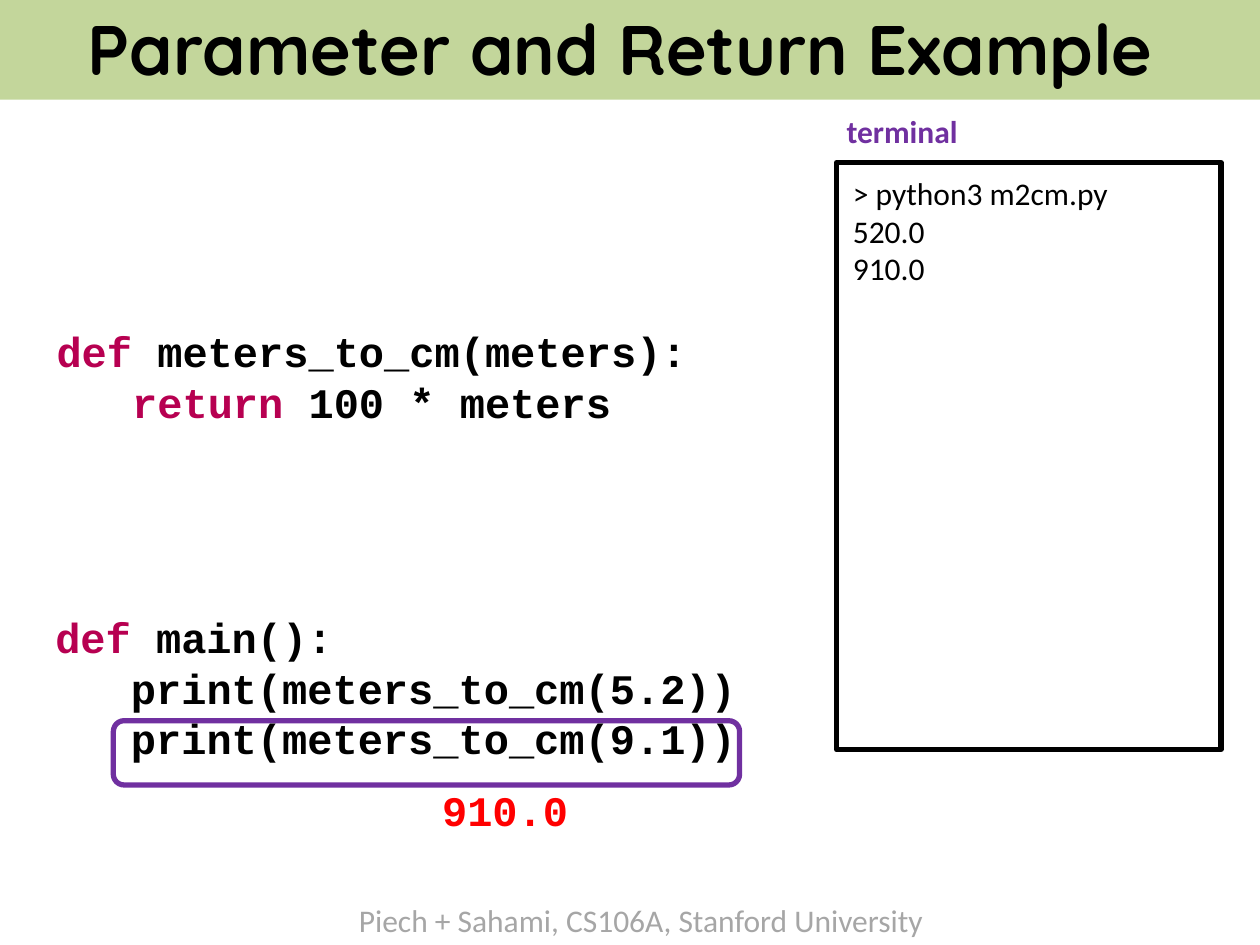
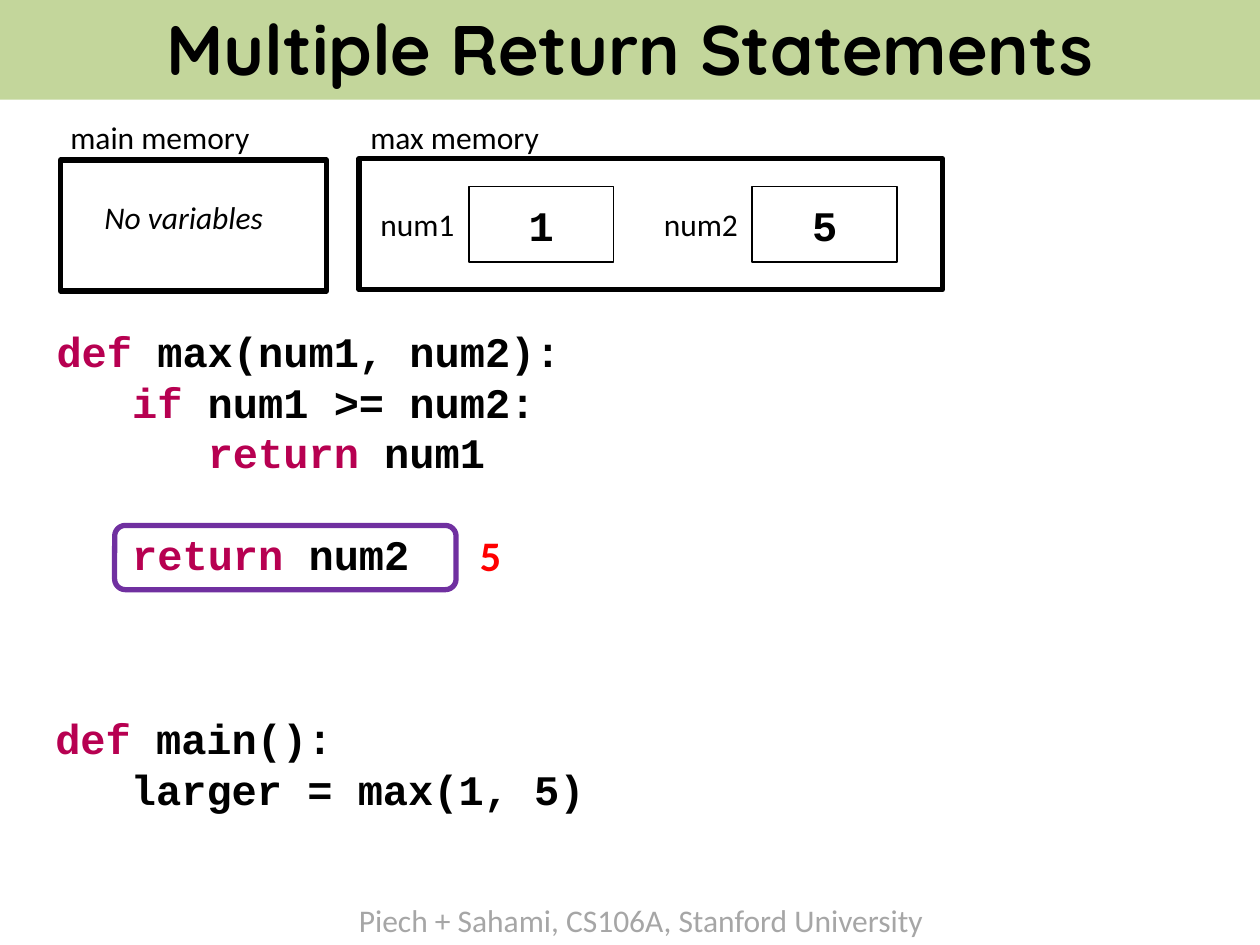
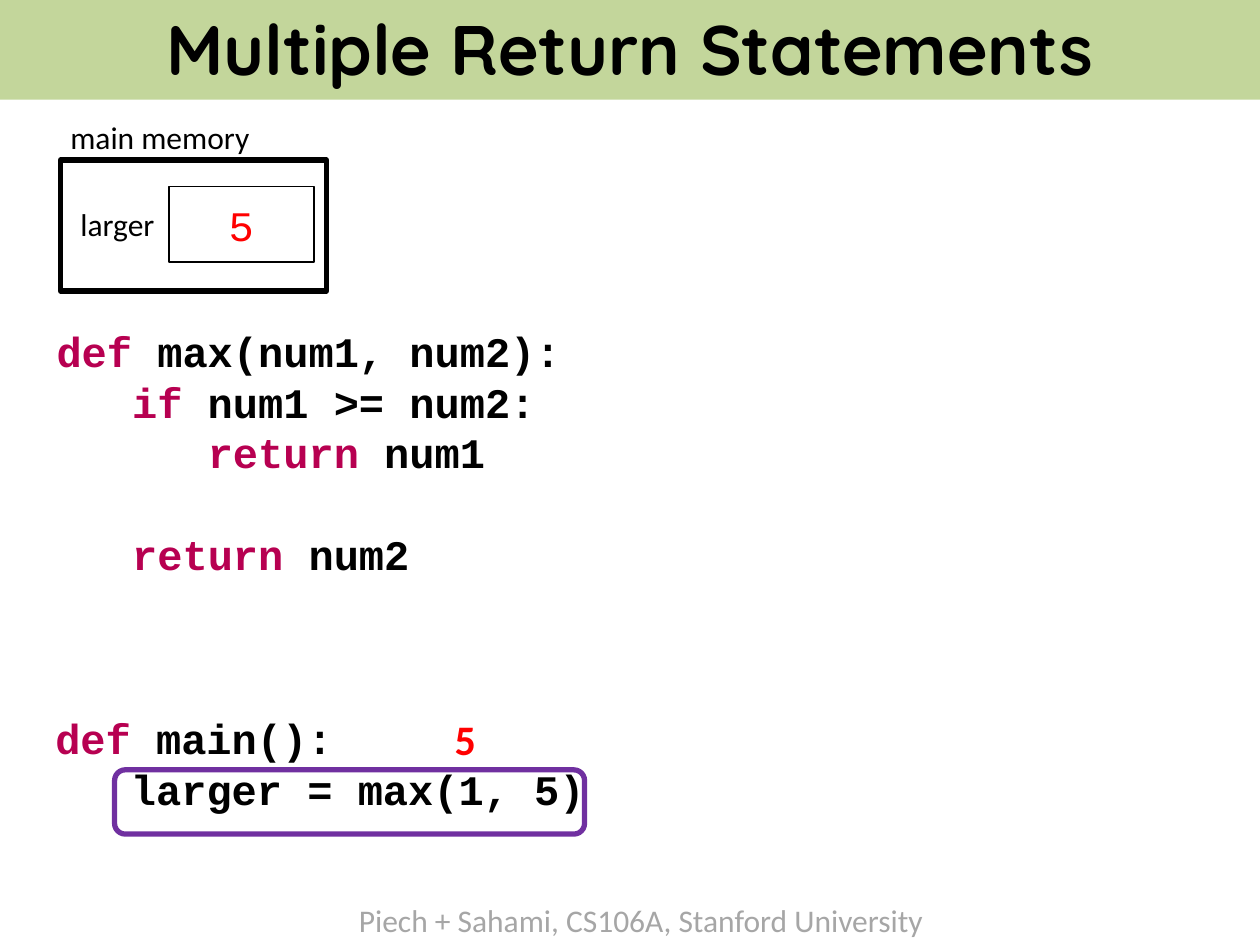
from dataclasses import dataclass

from pptx import Presentation
from pptx.dml.color import RGBColor
from pptx.enum.shapes import MSO_SHAPE
from pptx.enum.text import MSO_ANCHOR, MSO_AUTO_SIZE, PP_ALIGN
from pptx.util import Inches, Pt

RECTANGLE = MSO_SHAPE.RECTANGLE
ROUNDED = MSO_SHAPE.ROUNDED_RECTANGLE
MIDDLE = MSO_ANCHOR.MIDDLE
CENTER = PP_ALIGN.CENTER
FIT_SHAPE = MSO_AUTO_SIZE.SHAPE_TO_FIT_TEXT


@dataclass(frozen=True)
class Theme:
    band: str = "C3D69B"
    ink: str = "000000"
    keyword: str = "B70051"
    accent: str = "7030A0"
    result: str = "FF0000"
    footer: str = "A6A6A6"
    title_font: str = "Quicksand"
    label_font: str = "Calibri"
    code_font: str = "Courier New"
    title_size: int = 40
    code_size: int = 24
    label_size: int = 18
    code_pitch: int = 29
    thick: int = 3
    thin: int = 1


THEME = Theme()

# Content: each code line is (keyword part, remainder, blank lines above)
FOOTER = "Piech + Sahami, CS106A, Stanford University"
MAX_CODE = [
    ("def ", "max(num1, num2):", 0),
    ("   if", " num1 >= num2:", 0),
    ("      return ", "num1", 0),
    ("   return ", "num2", 1),
]
MAX_MAIN = [("def ", "main():", 0), ("", "   larger = max(1, 5)", 0)]
MAIN_MEMORY = ("main memory", (0.46, 0.89, 1.64, 0.4), (0.48, 1.27, 2.11, 1.04))
MAX_MEMORY = ("max memory", (2.84, 0.89, 1.55, 0.4), (2.85, 1.26, 4.63, 1.04))

# Labels are (text, place, style); variables are (name, value, left, style)
SLIDES = [
    {
        "title": "Parameter and Return Example ",
        "function": [
            ("def ", "meters_to_cm(meters):", 0),
            ("   return ", "100 * meters", 0),
        ],
        "main": [
            ("def ", "main():", 0),
            ("", "   print(meters_to_cm(5.2))", 0),
            ("", "   print(meters_to_cm(9.1))", 0),
        ],
        "main_top": 4.82,
        "frames": [
            ("terminal", (6.62, 0.84, 1.09, 0.4), (6.64, 1.29, 3.05, 4.66),
             {"color": THEME.accent, "bold": True}),
        ],
        "labels": [
            ("> python3 m2cm.py\n520.0\n910.0", (6.67, 1.33, 2.25, 1.01), {}),
            ("910.0", (3.41, 6.18, 1.21, 0.5),
             {"font": THEME.code_font, "size": THEME.code_size,
              "color": THEME.result, "bold": True}),
        ],
        "variables": [],
        "highlight": (0.9, 5.72, 4.97, 0.51),
    },
    {
        "title": "Multiple Return Statements",
        "function": MAX_CODE,
        "main": MAX_MAIN,
        "main_top": 5.62,
        "frames": [(*MAIN_MEMORY, {}), (*MAX_MEMORY, {})],
        "labels": [
            ("No variables", (0.73, 1.52, 1.53, 0.4), {"italic": True}),
            ("5", (3.71, 4.15, 0.37, 0.5),
             {"size": THEME.code_size, "color": THEME.result, "bold": True}),
        ],
        "variables": [
            ("num1", "1", 2.92, {"bold": True}),
            ("num2", "5", 5.17, {"bold": True}),
        ],
        "highlight": (0.91, 4.17, 2.71, 0.51),
    },
    {
        "title": "Multiple Return Statements",
        "function": MAX_CODE,
        "main": MAX_MAIN,
        "main_top": 5.62,
        "frames": [(*MAIN_MEMORY, {})],
        "labels": [
            ("5", (3.51, 5.61, 0.37, 0.5),
             {"size": THEME.code_size, "color": THEME.result, "bold": True}),
        ],
        "variables": [("larger", "5", 0.54, {"color": THEME.result})],
        "highlight": (0.91, 6.11, 3.73, 0.51),
    },
]


def style(font, name, size, color=THEME.ink, bold=False, italic=False):
    font.name = name
    font.size = Pt(size)
    font.color.rgb = RGBColor.from_string(color)
    font.bold = bold
    font.italic = italic


def add_box(page, place, kind=RECTANGLE, fill=None, line=None, width=THEME.thick):
    box = page.shapes.add_shape(kind, *map(Inches, place))
    box.shadow.inherit = False
    if fill:
        box.fill.solid()
        box.fill.fore_color.rgb = RGBColor.from_string(fill)
    else:
        box.fill.background()
    if line:
        box.line.color.rgb = RGBColor.from_string(line)
        box.line.width = Pt(width)
    else:
        box.line.fill.background()
    return box


def add_centered_text(box, text, font, size, **look):
    frame = box.text_frame
    frame.text = text
    frame.vertical_anchor = MIDDLE
    para = frame.paragraphs[0]
    para.alignment = CENTER
    style(para.runs[0].font, font, size, **look)


def add_label(page, text, place, font=THEME.label_font, size=THEME.label_size, **look):
    frame = page.shapes.add_textbox(*map(Inches, place)).text_frame
    frame.text = text
    frame.word_wrap = False
    frame.auto_size = FIT_SHAPE
    for para in frame.paragraphs:
        style(para.runs[0].font, font, size, **look)


def add_code(page, lines, place, inset):
    frame = page.shapes.add_textbox(*map(Inches, place)).text_frame
    frame.word_wrap = True
    frame.margin_top = Inches(inset)
    for index, (keyword, rest, gap) in enumerate(lines):
        para = frame.add_paragraph() if index else frame.paragraphs[0]
        para.line_spacing = Pt(THEME.code_pitch)
        if gap:
            para.space_before = Pt(gap * THEME.code_pitch)
        for text, color in ((keyword, THEME.keyword), (rest, THEME.ink)):
            if text:
                span = para.add_run()
                span.text = text
                style(span.font, THEME.code_font, THEME.code_size, color, bold=True)


def add_variable(page, name, value, left, look):
    add_label(page, name, (left, 1.58, 0.8, 0.4))
    cell = add_box(page, (left + 0.8, 1.48, 1.15, 0.6), line=THEME.ink, width=THEME.thin)
    add_centered_text(cell, value, THEME.code_font, THEME.code_size, **look)


def build_slide(deck, content):
    page = deck.slides.add_slide(deck.slide_layouts[6])

    # Shared footer and title band
    add_label(page, FOOTER, (2.75, 7.1, 4.73, 0.4), color=THEME.footer)
    band = add_box(page, (0, -0.03, 10, 0.82), fill=THEME.band)
    add_centered_text(band, content["title"], THEME.title_font, THEME.title_size, bold=True)

    # Terminal and memory frames with what they hold
    for caption, caption_place, frame_place, look in content["frames"]:
        add_box(page, frame_place, line=THEME.ink)
        add_label(page, caption, caption_place, **look)
    for variable in content["variables"]:
        add_variable(page, *variable)

    # Line being run, with the code of the function and of main above it
    add_box(page, content["highlight"], ROUNDED, line=THEME.accent)
    add_code(page, content["function"], (0.35, 1.34, 9.32, 5.52), inset=1.24)
    add_code(page, content["main"], (0.34, content["main_top"], 9.32, 1.28), inset=0.03)

    # Results and notes
    for text, place, look in content["labels"]:
        add_label(page, text, place, **look)


def main():
    deck = Presentation()
    deck.slide_width = Inches(10)
    deck.slide_height = Inches(7.5)
    for content in SLIDES:
        build_slide(deck, content)
    deck.save("out.pptx")


if __name__ == "__main__":
    main()
